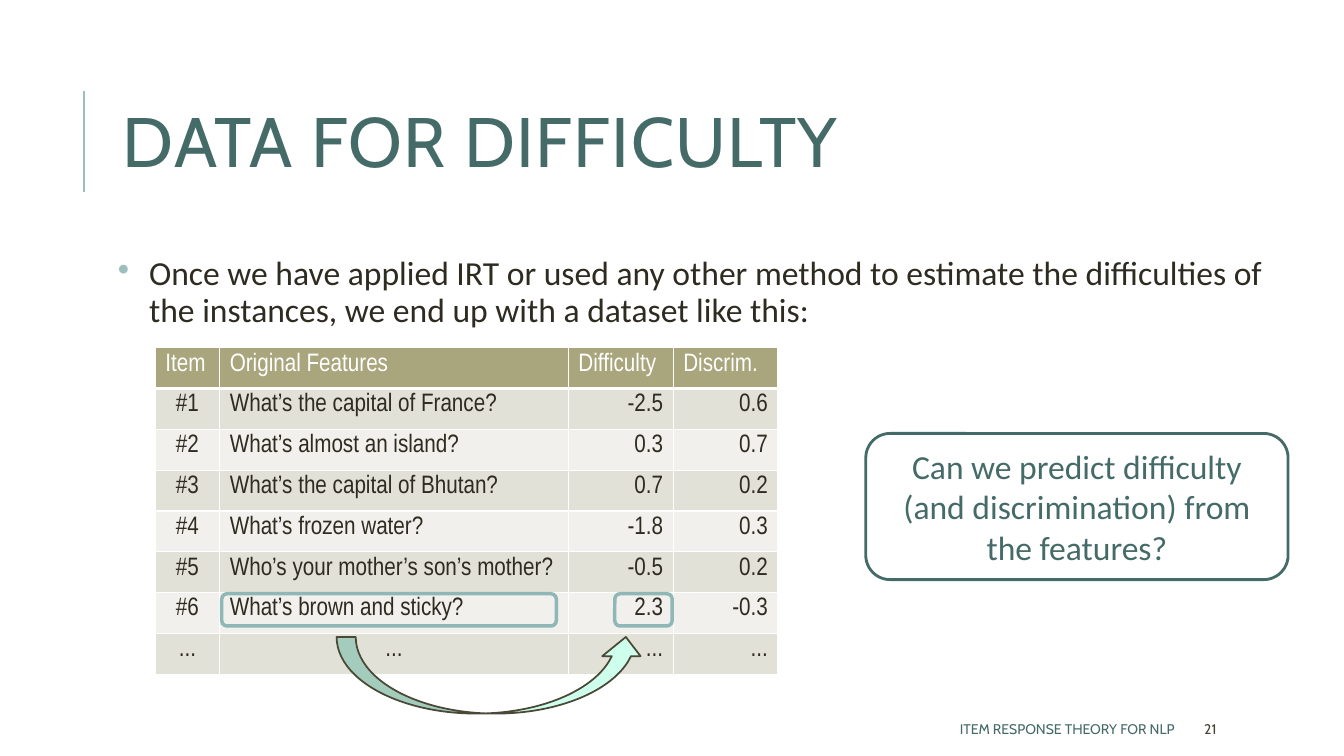
from dataclasses import dataclass
from typing import Optional

from lxml import etree
from pptx import Presentation, util as u
from pptx.dml.color import RGBColor
from pptx.enum import shapes, text
from pptx.oxml import ns

PX = u.Inches(1) // 200
COLORS = {
    "teal": "456B69", "rule": "9CBEBD", "ink": "2E2B21", "number": "474233",
    "header": "A9A57C", "odd": "E2E1D7", "even": "F1F0EC", "white": "FFFFFF",
    "marker": "8FB7B5", "mint": "CDFFEC", "arrow": "4A4836",
}
LEFT, CENTER, RIGHT = text.PP_ALIGN.LEFT, text.PP_ALIGN.CENTER, text.PP_ALIGN.RIGHT


@dataclass
class Box:
    left: int
    top: int
    width: int
    height: int

    def emu(self) -> tuple:
        return tuple(n * PX for n in (self.left, self.top, self.width, self.height))


@dataclass
class Style:
    size: int
    font: str
    color: str
    align: text.PP_ALIGN = LEFT
    line_spacing: Optional[float] = None


@dataclass
class Label:
    box: Box
    words: str
    style: Style
    anchor: text.MSO_ANCHOR = text.MSO_ANCHOR.MIDDLE
    inset: int = 20


@dataclass
class Outline:
    box: Box
    kind: shapes.MSO_SHAPE
    line: str
    weight: float
    fill: Optional[str] = None


@dataclass
class Column:
    heading: str
    width: int
    align: text.PP_ALIGN


def rgb(name: str) -> RGBColor:
    return RGBColor.from_string(COLORS[name])


def write(paragraph, words: str, style: Style):
    paragraph.alignment = style.align
    if style.line_spacing:
        paragraph.line_spacing = style.line_spacing
    run = paragraph.add_run()
    run.text = words
    run.font.size = u.Pt(style.size)
    run.font.name = style.font
    run.font.bold = False
    run.font.color.rgb = rgb(style.color)
    return run


def add_label(slide, label: Label):
    frame = slide.shapes.add_textbox(*label.box.emu()).text_frame
    frame.word_wrap = True
    frame.vertical_anchor = label.anchor
    frame.margin_left = frame.margin_right = label.inset * PX
    return write(frame.paragraphs[0], label.words, label.style), frame.paragraphs[0]


def add_outline(slide, outline: Outline):
    shape = slide.shapes.add_shape(outline.kind, *outline.box.emu())
    shape.shadow.inherit = False
    if outline.fill:
        shape.fill.solid()
        shape.fill.fore_color.rgb = rgb(outline.fill)
    else:
        shape.fill.background()
    shape.line.color.rgb = rgb(outline.line)
    shape.line.width = u.Pt(outline.weight)
    return shape


def add_bullet(paragraph, indent: int, color: str) -> None:
    props = paragraph._p.get_or_add_pPr()
    props.set("marL", str(indent * PX))
    props.set("indent", str(-indent * PX))
    tint = etree.SubElement(props, ns.qn("a:buClr"))
    etree.SubElement(tint, ns.qn("a:srgbClr"), val=COLORS[color])
    etree.SubElement(props, ns.qn("a:buChar"), char="•")


def border_cell(cell, bottom: int, top: int) -> None:
    props = cell._tc.get_or_add_tcPr()
    weights = {"lnL": 1, "lnR": 1, "lnT": top, "lnB": bottom}
    for index, (side, weight) in enumerate(weights.items()):
        edge = etree.Element(ns.qn(f"a:{side}"), w=str(u.Pt(weight)))
        fill = etree.SubElement(edge, ns.qn("a:solidFill"))
        etree.SubElement(fill, ns.qn("a:srgbClr"), val=COLORS["white"])
        props.insert(index, edge)


def add_items(slide, box: Box, columns: list, items: list) -> None:
    rows = [tuple(column.heading for column in columns)] + items
    table = slide.shapes.add_table(len(rows), len(columns), *box.emu()).table
    table.first_row = table.horz_banding = False
    for c, column in enumerate(columns):
        table.columns[c].width = column.width * PX
    for r, values in enumerate(rows):
        table.rows[r].height = box.height * PX // len(rows)
        band = "header" if r == 0 else "odd" if r % 2 else "even"
        for c, value in enumerate(values):
            cell = table.cell(r, c)
            cell.margin_top, cell.margin_bottom = 10 * PX, 0
            cell.fill.solid()
            cell.fill.fore_color.rgb = rgb(band)
            border_cell(cell, 3 if r == 0 else 1, 3 if r == 1 else 1)
            align = LEFT if r == 0 else CENTER if value == "..." and c < 2 else columns[c].align
            color = "white" if r == 0 else "ink"
            write(cell.text_frame.paragraphs[0], value, Style(18, "Arial Narrow", color, align))


COLUMNS = [
    Column("Item", 128, CENTER),
    Column("Original Features", 692, LEFT),
    Column("Difficulty", 208, RIGHT),
    Column("Discrim.", 208, RIGHT),
]
ITEMS = [
    ("#1", "What’s the capital of France?", "-2.5", "0.6"),
    ("#2", "What’s almost an island?", "0.3", "0.7"),
    ("#3", "What’s the capital of Bhutan?", "0.7", "0.2"),
    ("#4", "What’s frozen water?", "-1.8", "0.3"),
    ("#5", "Who’s your mother’s son’s mother?", "-0.5", "0.2"),
    ("#6", "What’s brown and sticky?", "2.3", "-0.3"),
    ("...", "...", "...", "..."),
]
TITLE = Label(Box(224, 128, 2126, 328), "DATA FOR DIFFICULTY",
              Style(50, "Cabin", "teal", line_spacing=0.8))
FOOTER = Label(Box(1060, 1416, 1290, 60), "ITEM RESPONSE THEORY FOR NLP",
               Style(10, "Cabin", "teal", RIGHT))
PAGE = Label(Box(2370, 1416, 212, 60), "21", Style(10, "Cabin", "number"))
INTRO = Label(
    Box(224, 500, 2360, 880),
    "Once we have applied IRT or used any other method to estimate the difficulties of "
    "the instances, we end up with a dataset like this:",
    Style(24, "Calibri", "ink", line_spacing=0.9), text.MSO_ANCHOR.TOP, 10)
ROUNDED = shapes.MSO_SHAPE.ROUNDED_RECTANGLE
QUESTION = Outline(Box(1718, 860, 838, 290), ROUNDED, "teal", 2)
FEATURE_MARK = Outline(Box(440, 1178, 664, 64), ROUNDED, "marker", 2.5)
PREDICTION = Outline(Box(668, 1264, 612, 152), shapes.MSO_SHAPE.CURVED_DOWN_ARROW,
                     "arrow", 1.25, "mint")
DIFFICULTY_MARK = Outline(Box(1220, 1178, 114, 64), ROUNDED, "marker", 2.5)


def main() -> None:
    deck = Presentation()
    deck.slide_width, deck.slide_height = 2667 * PX, 1500 * PX
    slide = deck.slides.add_slide(deck.slide_layouts[6])

    rule = slide.shapes.add_connector(
        shapes.MSO_CONNECTOR.STRAIGHT, 166 * PX, 380 * PX, 166 * PX, 180 * PX)
    rule.line.color.rgb = rgb("rule")
    rule.line.width = u.Pt(1.5)
    etree.SubElement(rule._element.spPr, ns.qn("a:effectLst"))

    title_run, _ = add_label(slide, TITLE)
    title_run._r.get_or_add_rPr().set("spc", "100")
    add_label(slide, FOOTER)
    add_label(slide, PAGE)
    _, intro = add_label(slide, INTRO)
    add_bullet(intro, 62, "rule")

    question = add_outline(slide, QUESTION).text_frame
    question.word_wrap = True
    question.vertical_anchor = text.MSO_ANCHOR.MIDDLE
    write(question.paragraphs[0], "Can we predict difficulty (and discrimination) from the features?",
          Style(24, "Calibri", "teal", CENTER))

    add_items(slide, Box(308, 690, 1236, 648), COLUMNS, ITEMS)
    add_outline(slide, FEATURE_MARK)
    prediction = add_outline(slide, PREDICTION)
    prediction._element.spPr.xfrm.set("flipV", "1")
    add_outline(slide, DIFFICULTY_MARK)
    deck.save("out.pptx")


if __name__ == "__main__":
    main()
